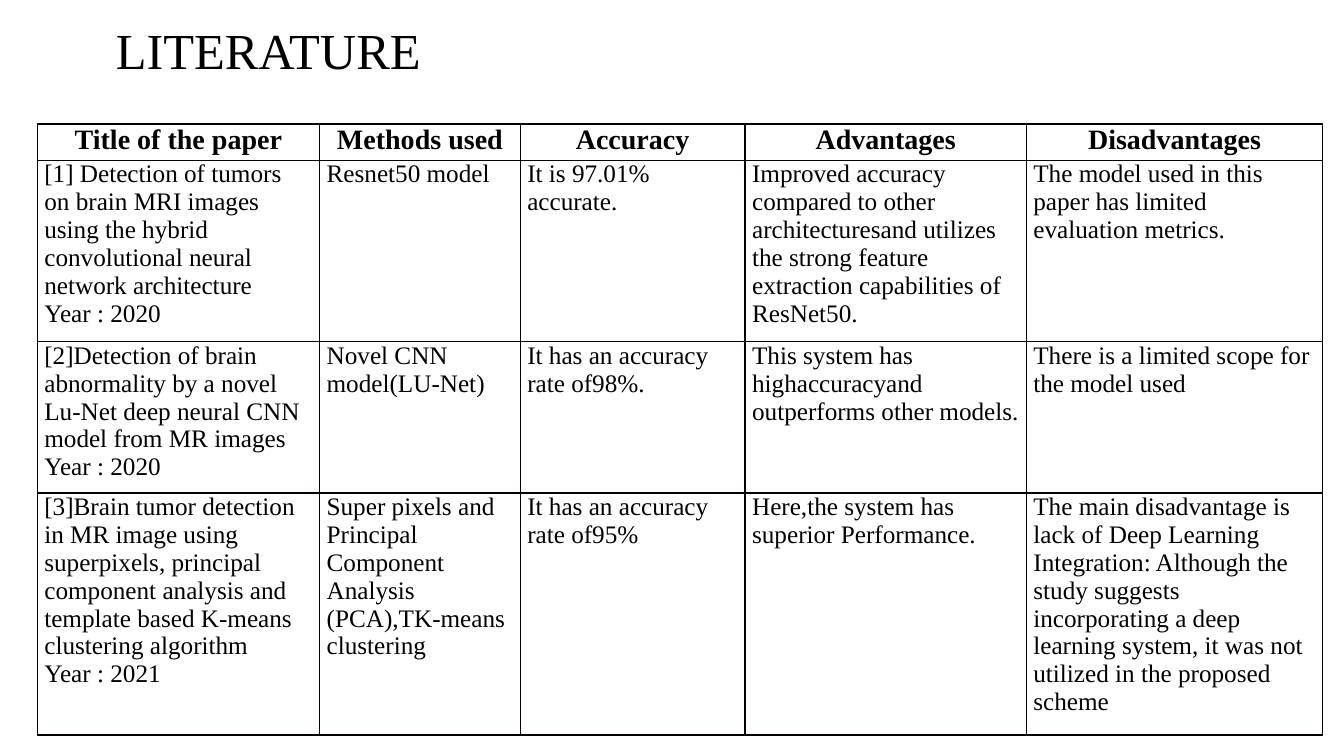
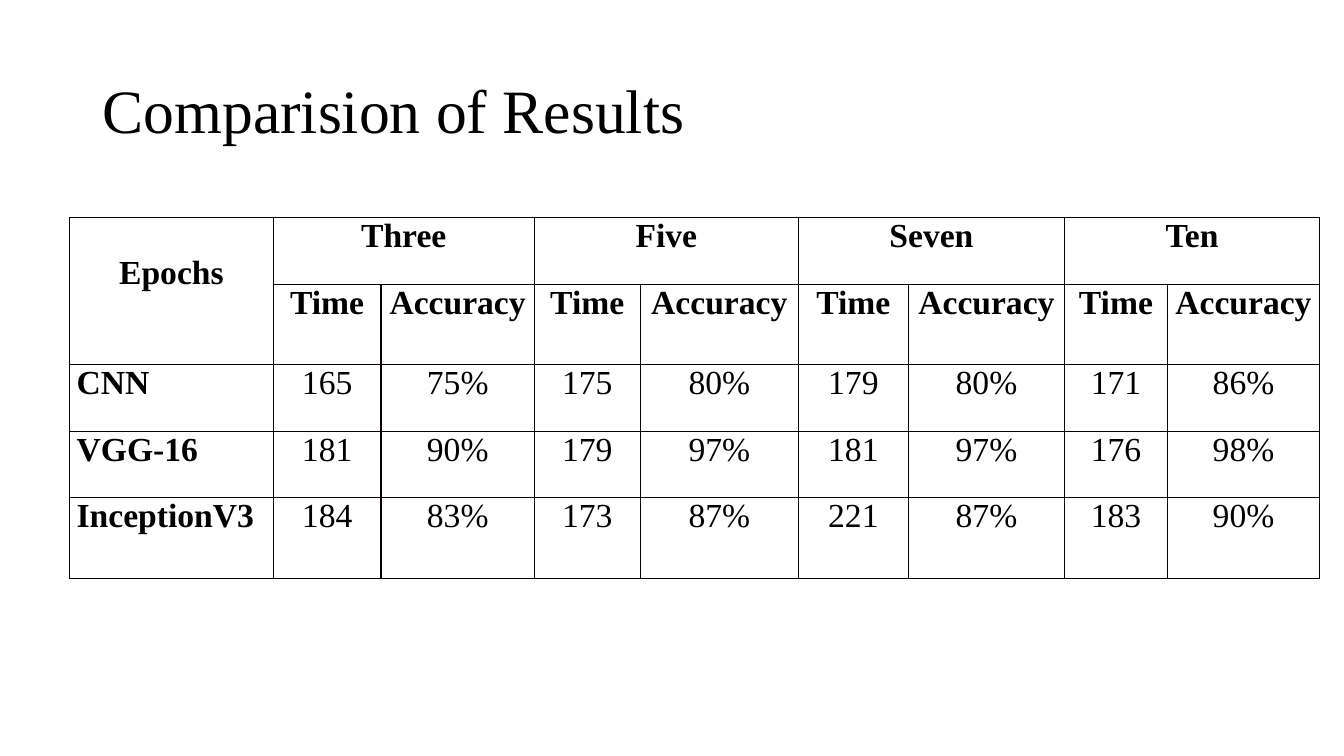
from dataclasses import dataclass

from lxml.etree import SubElement
from pptx import Presentation
from pptx.dml.color import RGBColor
from pptx.enum.text import MSO_ANCHOR, PP_ALIGN
from pptx.oxml import parse_xml
from pptx.oxml.ns import nsdecls, qn
from pptx.util import Inches, Pt


@dataclass(frozen=True)
class Theme:
    font: str = "Times New Roman"
    ink: str = "000000"
    paper: str = "FFFFFF"
    rule: str = "080000"
    rule_pt: float = 1
    side: float = 0.07
    title_gap: float = 0.9


THEME = Theme()


@dataclass(frozen=True)
class Title:
    text: str
    box: tuple[float, float, float, float]
    size: int


@dataclass(frozen=True)
class Grid:
    """A table: the first `heads` rows are bold and centred."""
    left: float
    top: float
    cols: list[float]
    rows: list[float]
    cells: list[list[str]]
    heads: int
    head_size: int
    size: int
    stub: bool = False  # bold first column, centred values


LITERATURE = Grid(
    0.37, 1.23, [2.8, 1.99, 2.23, 2.79, 2.94], [0.36, 1.66, 1.45, 2.2],
    [
        ["Title of the paper", "Methods used", "Accuracy", "Advantages",
         "Disadvantages"],
        ["[1] Detection of tumors on brain MRI images using the hybrid "
         "convolutional neural network architecture\nYear : 2020",
         "Resnet50 model",
         "It is 97.01% accurate.",
         "Improved accuracy compared to other architecturesand utilizes the "
         "strong feature extraction capabilities of ResNet50.",
         "The model used in this paper has limited evaluation metrics."],
        ["[2]Detection of brain abnormality by a novel Lu-Net deep neural "
         "CNN model from MR images\nYear : 2020",
         "Novel CNN model(LU-Net)",
         "It has an accuracy rate of98%.",
         "This system has highaccuracyand outperforms other models.",
         "There is a limited scope for the model used"],
        ["[3]Brain tumor detection in MR image using superpixels, principal "
         "component analysis and template based K-means clustering "
         "algorithm\nYear : 2021",
         "Super pixels and Principal Component Analysis (PCA),TK-means "
         "clustering",
         "It has an accuracy rate of95%",
         "Here,the system has superior Performance.",
         "The main disadvantage is lack of Deep Learning Integration: "
         "Although the study suggests incorporating a deep learning system, "
         "it was not utilized in the proposed scheme"],
    ],
    heads=1, head_size=20, size=18,
)

EPOCHS = ["Three", "Five", "Seven", "Ten"]
RESULTS = Grid(
    0.69, 2.16, [2.02, 1.07, 1.52, 1.05, 1.57, 1.09, 1.55, 1.02, 1.51],
    [0.66, 0.8, 0.66, 0.66, 0.8],
    [
        ["Epochs"] + [text for name in EPOCHS for text in (name, "")],
        [""] + ["Time", "Accuracy"] * len(EPOCHS),
        ["CNN", "165", "75%", "175", "80%", "179", "80%", "171", "86%"],
        ["VGG-16", "181", "90%", "179", "97%", "181", "97%", "176", "98%"],
        ["InceptionV3", "184", "83%", "173", "87%", "221", "87%", "183",
         "90%"],
    ],
    heads=2, head_size=24, size=24, stub=True,
)


def style(frame, size: int, bold: bool = False, align=PP_ALIGN.LEFT) -> None:
    for para in frame.paragraphs:
        para.alignment = align
        for run in para.runs:
            font = run.font
            font.name, font.size, font.bold = THEME.font, Pt(size), bold
            font.color.rgb = RGBColor.from_string(THEME.ink)


def add_title(slide, title: Title) -> None:
    frame = slide.shapes.add_textbox(*map(Inches, title.box)).text_frame
    frame.word_wrap = True
    frame.vertical_anchor = MSO_ANCHOR.MIDDLE
    frame.text = title.text
    frame.paragraphs[0].line_spacing = THEME.title_gap
    style(frame, title.size)


def add_rules(cell) -> None:
    """Draw the four borders of a cell, ahead of its fill."""
    props = cell._tc.get_or_add_tcPr()
    for spot, edge in enumerate(("lnL", "lnR", "lnT", "lnB")):
        line = parse_xml(f'<a:{edge} {nsdecls("a")} w="{Pt(THEME.rule_pt)}"/>')
        fill = SubElement(line, qn("a:solidFill"))
        SubElement(fill, qn("a:srgbClr"), val=THEME.rule)
        props.insert(spot, line)


def add_grid(slide, grid: Grid):
    table = slide.shapes.add_table(
        len(grid.rows), len(grid.cols), Inches(grid.left), Inches(grid.top),
        Inches(sum(grid.cols)), Inches(sum(grid.rows))).table
    table.first_row = table.horz_banding = False
    for col, width in zip(table.columns, grid.cols):
        col.width = Inches(width)
    for row, height in zip(table.rows, grid.rows):
        row.height = Inches(height)
    for r, texts in enumerate(grid.cells):
        for c, text in enumerate(texts):
            cell = table.cell(r, c)
            cell.margin_left = cell.margin_right = Inches(THEME.side)
            cell.margin_top = cell.margin_bottom = 0
            cell.fill.background()
            add_rules(cell)
            head = r < grid.heads
            mid = head or (grid.stub and c > 0)
            cell.text_frame.text = text
            style(cell.text_frame, grid.head_size if head else grid.size,
                  head or (grid.stub and c == 0),
                  PP_ALIGN.CENTER if mid else PP_ALIGN.LEFT)
    return table


def add_page(deck, title: Title, grid: Grid):
    slide = deck.slides.add_slide(deck.slide_layouts[6])
    slide.background.fill.solid()
    slide.background.fill.fore_color.rgb = RGBColor.from_string(THEME.paper)
    add_title(slide, title)
    return add_grid(slide, grid)


def main() -> None:
    deck = Presentation()
    deck.slide_width, deck.slide_height = Inches(13.33), Inches(7.5)
    add_page(deck, Title("LITERATURE", (1.05, 0, 4.46, 1.05), 36), LITERATURE)
    table = add_page(
        deck, Title("Comparision of Results", (0.92, 0.4, 11.5, 1.45), 44),
        RESULTS)
    corner = table.cell(0, 0)
    corner.merge(table.cell(1, 0))
    corner.margin_top = Inches(0.37)
    for c in range(1, len(RESULTS.cols), 2):
        table.cell(0, c).merge(table.cell(0, c + 1))
    deck.save("out.pptx")


if __name__ == "__main__":
    main()
